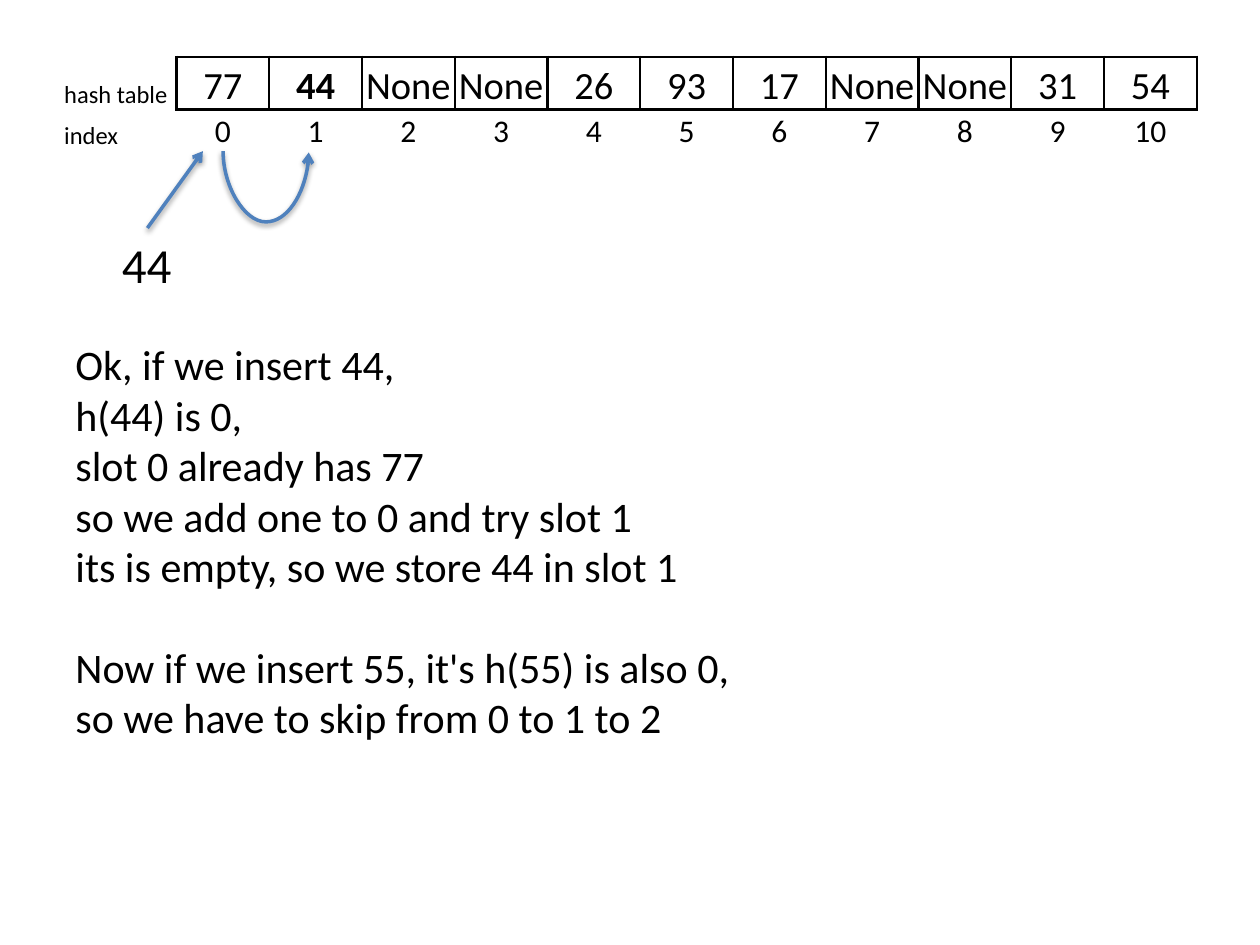
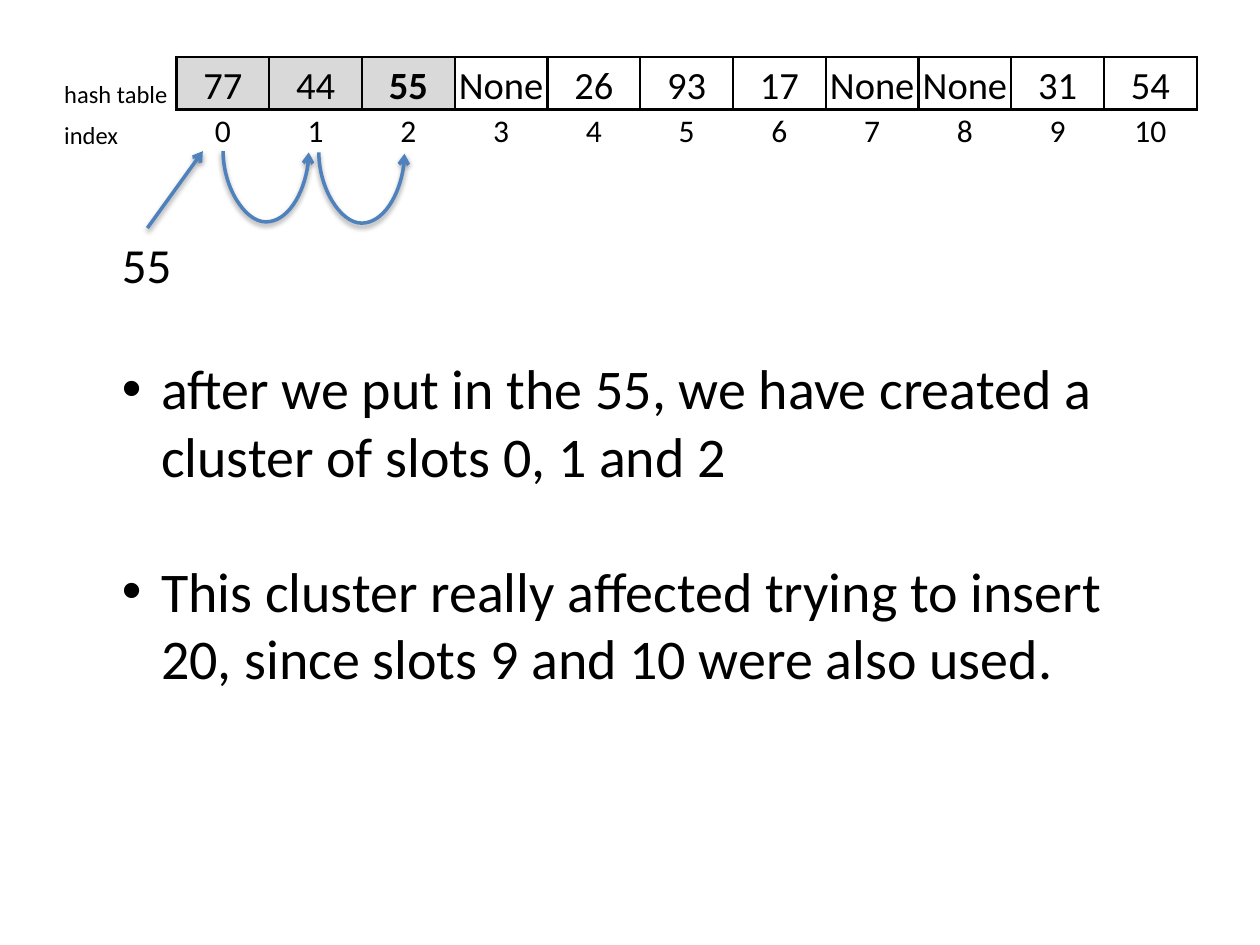
from lxml.etree import SubElement
from pptx import Presentation
from pptx.dml.color import RGBColor
from pptx.enum.shapes import MSO_CONNECTOR
from pptx.enum.text import MSO_ANCHOR, PP_ALIGN
from pptx.oxml import parse_xml
from pptx.oxml.ns import nsdecls, qn
from pptx.util import Inches, Pt

# Content: slots of the table, the key being inserted and its probe hops
SLIDES = [
    {
        "slots": ["77", "44", "None", "None", "26", "93", "17", "None", "None", "31", "54"],
        "key": "44", "hops": 1, "cluster": 0,
        "box": (0.5, 2.64, 5.45, 4.14), "size": 24, "bullets": False,
        # Each group of lines is set apart by one line of space
        "groups": [
            ["Ok, if we insert 44,",
             "h(44) is 0,",
             "slot 0 already has 77",
             "so we add one to 0 and try slot 1",
             "its is empty, so we store 44 in slot 1"],
            ["Now if we insert 55, it's h(55) is also 0,",
             "so we have to skip from 0 to 1 to 2"],
        ],
    },
    {
        "slots": ["77", "44", "55", "None", "26", "93", "17", "None", "None", "31", "54"],
        "key": "55", "hops": 2, "cluster": 3,
        "box": (0.87, 2.76, 8.63, 2.79), "size": 32, "bullets": True,
        "groups": [
            ["after we put in the 55, we have created a cluster of slots 0, 1 and 2"],
            ["This cluster really affected trying to insert 20, "
             "since slots 9 and 10 were also used."],
        ],
    },
]

# Shared style
FONT = "Calibri"
BLACK = RGBColor(0x00, 0x00, 0x00)
GRAY = RGBColor(0xD9, 0xD9, 0xD9)
BLUE = RGBColor(0x4F, 0x81, 0xBD)
NO_STYLE = "{2D5ABB26-0587-4C30-8999-92F81FD0307C}"
LINE_SPACING = 1.22

TABLE_LEFT, TABLE_TOP, TABLE_WIDTH = 0.5, 0.45, 9
LABEL_WIDTH = 0.9
ROW_HEIGHTS = (0.42, 0.33)
HOP_X, HOP_Y, HOP_PITCH = 1.77, 1.2, 0.76
HOP_WIDTH, HOP_RISE, HOP_DEPTH = 0.68, 0.01, 0.57


def add_run(p, text, size, bold=False):
    r = p.add_run()
    r.text = text
    r.font.name = FONT
    r.font.size = Pt(size)
    r.font.bold = bold
    r.font.color.rgb = BLACK


def fill_cell(cell, text, size, borders="", bold=False, fill=None, align=PP_ALIGN.CENTER):
    cell.margin_left = cell.margin_right = cell.margin_top = Inches(0.01)
    cell.margin_bottom = 0
    cell.vertical_anchor = MSO_ANCHOR.BOTTOM
    p = cell.text_frame.paragraphs[0]
    p.alignment = align
    add_run(p, text, size, bold)
    tcPr = cell._tc.get_or_add_tcPr()
    for side in borders:
        tcPr.append(parse_xml(
            f'<a:ln{side} {nsdecls("a")} w="{Pt(1.5)}"><a:solidFill>'
            f'<a:srgbClr val="{BLACK}"/></a:solidFill></a:ln{side}>'))
    if fill is None:
        cell.fill.background()
    else:
        cell.fill.solid()
        cell.fill.fore_color.rgb = fill


def add_hash_table(slide, slots, key, cluster):
    frame = slide.shapes.add_table(
        2, len(slots) + 1, Inches(TABLE_LEFT), Inches(TABLE_TOP),
        Inches(TABLE_WIDTH), Inches(sum(ROW_HEIGHTS)))
    table = frame.table
    table.first_row = table.horz_banding = False
    table._tbl.tblPr.find(qn("a:tableStyleId")).text = NO_STYLE
    for row, height in zip(table.rows, ROW_HEIGHTS):
        row.height = Inches(height)
    slot_width = (TABLE_WIDTH - LABEL_WIDTH) / len(slots)
    for i, column in enumerate(table.columns):
        column.width = Inches(slot_width if i else LABEL_WIDTH)

    fill_cell(table.cell(0, 0), "hash table", 14, "R", align=PP_ALIGN.LEFT)
    fill_cell(table.cell(1, 0), "index", 14, align=PP_ALIGN.LEFT)
    for i, value in enumerate(slots):
        fill_cell(table.cell(0, i + 1), value, 22, "LRTB", bold=value == key,
                  fill=GRAY if i < cluster else None)
        fill_cell(table.cell(1, i + 1), str(i), 18, "T")


def add_arrow(slide, kind, x1, y1, x2, y2):
    arrow = slide.shapes.add_connector(
        kind, Inches(x1), Inches(y1), Inches(x2), Inches(y2))
    arrow.line.color.rgb = BLUE
    arrow.line.width = Pt(2)
    SubElement(arrow.line._get_or_add_ln(), qn("a:tailEnd"), type="arrow")
    arrow._element.spPr.append(parse_xml(
        f'<a:effectLst {nsdecls("a")}><a:outerShdw blurRad="40000" dist="20000" '
        f'dir="5400000" rotWithShape="0"><a:srgbClr val="{BLACK}">'
        '<a:alpha val="38000"/></a:srgbClr></a:outerShdw></a:effectLst>'))
    return arrow


def add_hop(slide, i):
    """U-shaped arrow from slot i to the next: a curve turned by 270 degrees."""
    cx = HOP_X + i * HOP_PITCH + HOP_WIDTH / 2
    cy = HOP_Y + (i + 0.5) * HOP_RISE
    hop = add_arrow(slide, MSO_CONNECTOR.CURVE,
                    cx + HOP_RISE / 2, cy - HOP_WIDTH / 2,
                    cx - HOP_RISE / 2, cy + HOP_WIDTH / 2)
    spPr = hop._element.spPr
    spPr.find(qn("a:xfrm")).set("rot", str(270 * 60000))
    depth = round(HOP_DEPTH / HOP_RISE * 100000)
    SubElement(spPr.find(f'{qn("a:prstGeom")}/{qn("a:avLst")}'), qn("a:gd"),
               name="adj1", fmla=f"val {depth}")


def add_text(slide, box, groups, size, bullets=False, wrap=True):
    tf = slide.shapes.add_textbox(*map(Inches, box)).text_frame
    tf.word_wrap = wrap
    p = None
    for group in groups:
        for n, line in enumerate(group):
            first = p is None
            p = tf.paragraphs[0] if first else tf.add_paragraph()
            if n == 0 and not first:
                p.space_before = Pt(round(size * LINE_SPACING))
            if bullets:
                pPr = p._p.get_or_add_pPr()
                pPr.set("marL", str(Inches(0.31)))
                pPr.set("indent", str(-Inches(0.31)))
                SubElement(pPr, qn("a:buFont"), typeface="Arial")
                SubElement(pPr, qn("a:buChar"), char="•")
            add_run(p, line, size)


def main():
    prs = Presentation()
    prs.slide_width, prs.slide_height = Inches(10), Inches(7.5)
    for content in SLIDES:
        slide = prs.slides.add_slide(prs.slide_layouts[6])
        add_hash_table(slide, content["slots"], content["key"], content["cluster"])
        # Key, its arrow to slot 0, and the probe hops
        add_text(slide, (0.87, 1.81, 0.6, 0.57), [[content["key"]]], 28, wrap=False)
        add_arrow(slide, MSO_CONNECTOR.STRAIGHT, 1.17, 1.81, 1.61, 1.2)
        for i in range(content["hops"]):
            add_hop(slide, i)
        # Explanation
        add_text(slide, content["box"], content["groups"], content["size"],
                 content["bullets"])
    prs.save("out.pptx")


if __name__ == "__main__":
    main()
